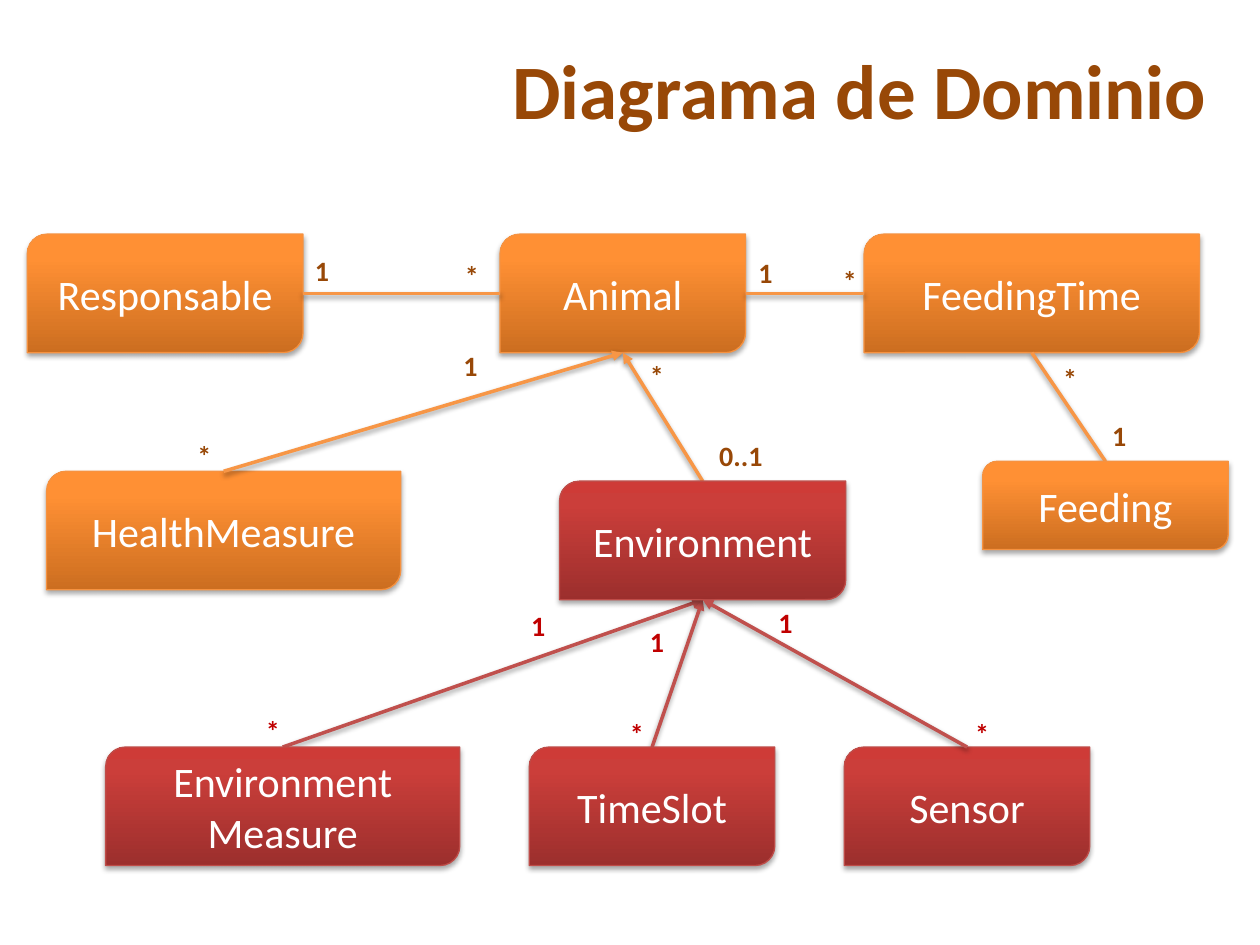
"""Build the domain diagram slide."""
from dataclasses import dataclass

from lxml.etree import SubElement
from pptx import Presentation
from pptx.dml.color import RGBColor
from pptx.enum.shapes import MSO_CONNECTOR, MSO_SHAPE
from pptx.enum.text import MSO_ANCHOR, MSO_AUTO_SIZE, PP_ALIGN
from pptx.oxml.ns import qn
from pptx.util import Cm, Pt


@dataclass(frozen=True)
class Palette:
    stops: tuple
    border: str
    link: str
    label: str


@dataclass(frozen=True)
class Theme:
    font: str = "Calibri"
    white: str = "FFFFFF"
    title_size: int = 44
    box_size: int = 24
    label_size: int = 16
    link_width: float = 2
    border_width: float = 0.75
    orange: Palette = Palette(
        ((0, "CC6E20"), (80, "FF9034"), (100, "FF9136")), "F69240", "F79646", "984807")
    red: Palette = Palette(
        ((0, "9C2F2D"), (80, "CB3E3A"), (100, "CE3B37")), "BF4C48", "C0504D", "C00000")


@dataclass(frozen=True)
class Box:
    text: str
    x: float
    y: float
    w: float
    palette: Palette
    h: float = 2.39

    def site(self, side: str) -> tuple:
        fx, fy = {"top": (0.5, 0), "bottom": (0.5, 1), "left": (0, 0.5), "right": (1, 0.5)}[side]
        return Cm(self.x + fx * self.w), Cm(self.y + fy * self.h)


@dataclass(frozen=True)
class Link:
    child: Box
    child_side: str
    parent: Box
    parent_side: str
    palette: Palette
    arrow: bool = False


@dataclass(frozen=True)
class Label:
    text: str
    x: float
    y: float
    palette: Palette
    w: float = 1.6


THEME = Theme()
ORANGE, RED = THEME.orange, THEME.red
TOP_ROW, BOTTOM_ROW = 4.72, 15.06
NARROW = 0.79

animal = Box("Animal", 10.08, TOP_ROW, 4.95, ORANGE)
health = Box("HealthMeasure", 0.94, 9.5, 7.14, ORANGE)
measure = Box("Environment\nMeasure", 2.13, BOTTOM_ROW, 7.14, RED)
feeding_time = Box("FeedingTime", 17.42, TOP_ROW, 6.76, ORANGE)
feeding = Box("Feeding", 19.81, 9.3, 4.95, ORANGE, 1.78)
environment = Box("Environment", 11.28, 9.7, 5.77, RED)
keeper = Box("Responsable", 0.55, TOP_ROW, 5.56, ORANGE)
time_slot = Box("TimeSlot", 10.67, BOTTOM_ROW, 4.95, RED)
sensor = Box("Sensor", 17.02, BOTTOM_ROW, 4.95, RED)


def generalizes(child: Box, parent: Box, palette: Palette) -> Link:
    return Link(child, "top", parent, "bottom", palette, arrow=True)


DIAGRAM = (
    generalizes(measure, environment, RED),
    animal,
    health,
    generalizes(health, animal, ORANGE),
    generalizes(environment, animal, ORANGE),
    measure,
    generalizes(time_slot, environment, RED),
    feeding_time,
    Link(feeding_time, "left", animal, "right", ORANGE),
    Link(feeding, "top", feeding_time, "bottom", ORANGE),
    feeding,
    environment,
    keeper,
    Link(animal, "left", keeper, "right", ORANGE),
    time_slot,
    sensor,
    generalizes(sensor, environment, RED),
)

LABELS = (
    Label("1", 6.1, 4.98, ORANGE),
    Label("*", 9.12, 5.08, ORANGE, NARROW),
    Label("1", 15.04, 5.03, ORANGE),
    Label("*", 16.74, 5.18, ORANGE),
    Label("*", 21.18, 7.16, ORANGE, NARROW),
    Label("1", 22.17, 8.31, ORANGE),
    Label("1", 9.09, 6.91, ORANGE),
    Label("*", 3.73, 8.71, ORANGE, NARROW),
    Label("*", 12.85, 7.11, ORANGE, NARROW),
    Label("0..1", 14.25, 8.71, ORANGE),
    Label("1", 10.46, 12.14, RED),
    Label("1", 12.85, 12.47, RED),
    Label("1", 15.44, 12.09, RED),
    Label("*", 5.11, 14.25, RED, NARROW),
    Label("*", 12.45, 14.33, RED, NARROW),
    Label("*", 19.41, 14.33, RED, NARROW),
)


def rgb(value: str) -> RGBColor:
    return RGBColor.from_string(value)


def add_shadow(props, distance: float, opacity: int) -> None:
    effects = props.find(qn("a:effectLst"))
    if effects is None:
        effects = SubElement(props, qn("a:effectLst"))
    shadow = SubElement(effects, qn("a:outerShdw"), blurRad=str(Pt(3.1)),
                        dist=str(Pt(distance)), dir="5400000", rotWithShape="0")
    color = SubElement(shadow, qn("a:srgbClr"), val="000000")
    SubElement(color, qn("a:alpha"), val=str(opacity * 1000))


def write(tf, text: str, size: int, color: str, align: PP_ALIGN, bold: bool = False) -> None:
    tf.word_wrap = True
    tf.text = text
    for p in tf.paragraphs:
        p.alignment = align
        p.font.name = THEME.font
        p.font.size = Pt(size)
        p.font.bold = bold
        p.font.color.rgb = rgb(color)


def draw_box(s, box: Box) -> None:
    sp = s.shapes.add_shape(MSO_SHAPE.ROUND_2_DIAG_RECTANGLE,
                            Cm(box.x), Cm(box.y), Cm(box.w), Cm(box.h))
    sp.shadow.inherit = False
    sp.fill.gradient()
    sp.fill.gradient_angle = 90
    props = sp.element.spPr
    stops = props.find(qn("a:gradFill")).find(qn("a:gsLst"))
    for old in list(stops):
        stops.remove(old)
    for position, color in box.palette.stops:
        stop = SubElement(stops, qn("a:gs"), pos=str(position * 1000))
        SubElement(stop, qn("a:srgbClr"), val=color)
    sp.line.color.rgb = rgb(box.palette.border)
    sp.line.width = Pt(THEME.border_width)
    add_shadow(props, 1.8, 35)
    sp.text_frame.vertical_anchor = MSO_ANCHOR.MIDDLE
    write(sp.text_frame, box.text, THEME.box_size, THEME.white, PP_ALIGN.CENTER)


def draw_link(s, link: Link) -> None:
    sp = s.shapes.add_connector(MSO_CONNECTOR.STRAIGHT, *link.child.site(link.child_side),
                                *link.parent.site(link.parent_side))
    sp.line.color.rgb = rgb(link.palette.link)
    sp.line.width = Pt(THEME.link_width)
    props = sp.element.spPr
    if link.arrow:
        SubElement(props.find(qn("a:ln")), qn("a:tailEnd"), type="triangle")
    add_shadow(props, 1.6, 38)


def draw_label(s, label: Label) -> None:
    sp = s.shapes.add_textbox(Cm(label.x), Cm(label.y), Cm(label.w), Cm(0.94))
    write(sp.text_frame, label.text, THEME.label_size, label.palette.label, PP_ALIGN.LEFT, True)
    sp.text_frame.auto_size = MSO_AUTO_SIZE.SHAPE_TO_FIT_TEXT


def draw_title(s, text: str) -> None:
    sp = s.shapes.add_textbox(Cm(4.75), Cm(0.2), Cm(19.84), Cm(3.18))
    sp.text_frame.vertical_anchor = MSO_ANCHOR.MIDDLE
    write(sp.text_frame, text, THEME.title_size, ORANGE.label, PP_ALIGN.RIGHT, True)


prs = Presentation()
prs.slide_width, prs.slide_height = Cm(25.4), Cm(19.05)
s = prs.slides.add_slide(prs.slide_layouts[6])
for item in DIAGRAM:
    if isinstance(item, Box):
        draw_box(s, item)
    else:
        draw_link(s, item)
draw_title(s, "Diagrama de Dominio")
for label in LABELS:
    draw_label(s, label)
prs.save("out.pptx")
